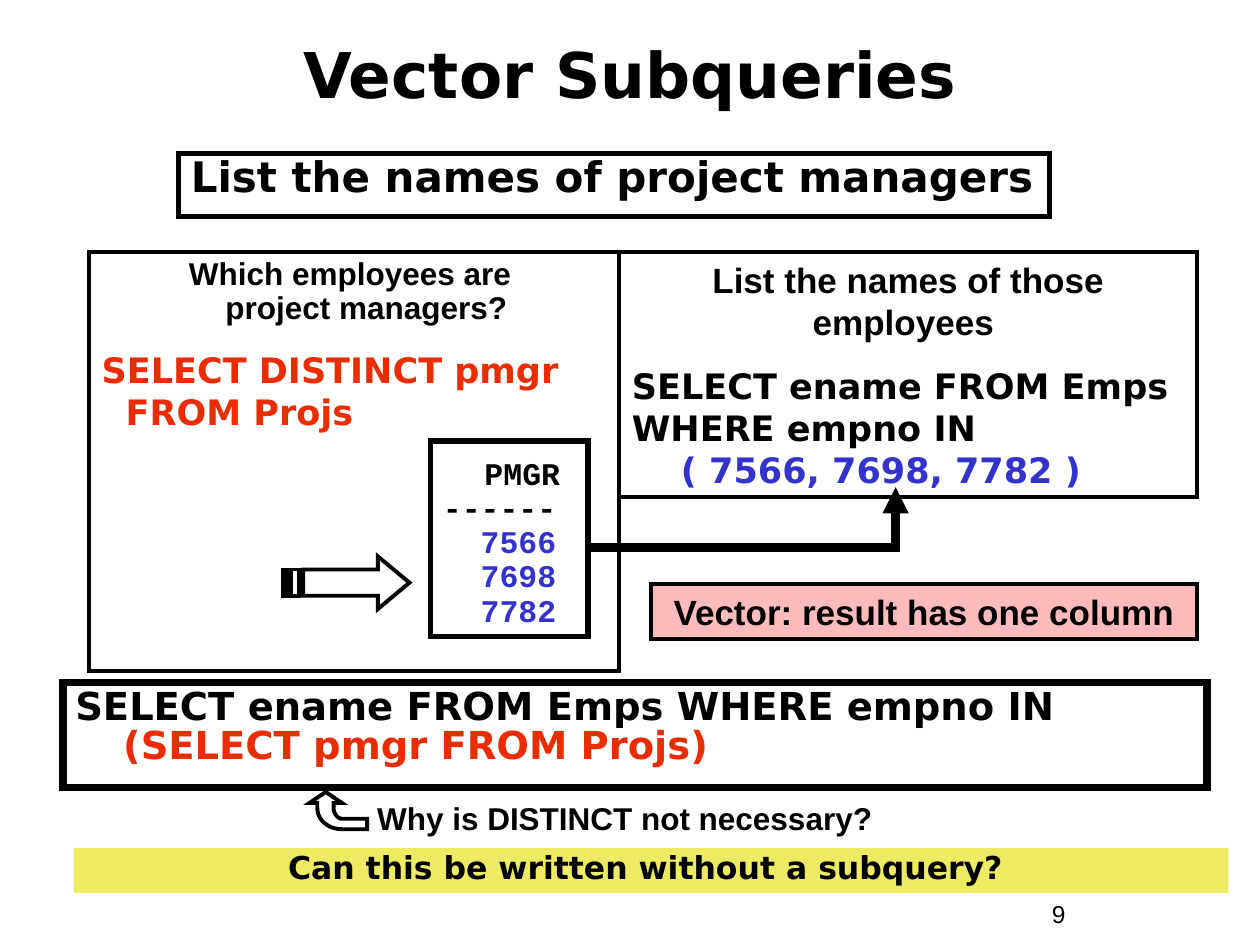
"""Build the Vector Subqueries slide on a grid of 120 columns by 90 rows."""
from lxml import etree
from pptx import Presentation, util as u
from pptx.dml.color import RGBColor
from pptx.enum import shapes, text
from pptx.oxml import ns

THEME = {
    "black": "000000", "red": "EA2D00", "blue": "3333CC",
    "pink": "FFBBBB", "yellow": "EDEA63",
    "sans": "Arial", "wide": "DejaVu Sans", "mono": "Courier New",
    "title": 36, "prompt": 24, "query": 22, "body": 20, "label": 18, "number": 14,
}
CELL = u.Inches(1) // 12
PRECISION = 100
LEFT, CENTER = text.PP_ALIGN.LEFT, text.PP_ALIGN.CENTER


def para(*lines, font="wide", size="body", color="black", bold=True,
         align=LEFT, spacing=1.0, before=0, margin=0, hang=0):
    return {
        "lines": [line if isinstance(line, tuple) else (line, color) for line in lines],
        "font": {"name": THEME[font], "size": u.Pt(THEME[size]), "bold": bold},
        "format": {"alignment": align, "line_spacing": spacing, "space_before": u.Pt(before)},
        "indent": {"marL": margin, "indent": -hang},
    }


RESULT_ROWS = [("PMGR", "black", 0.33), ("------", "black", 0)] + [
    (number, "blue", 0.3) for number in ("7566", "7698", "7782")]

BOXES = [
    {"grid": (99, 85, 11, 4),
     "text": [para("9", font="sans", size="number", bold=False)]},
    {"grid": (4, 2, 112, 10), "middle": True,
     "text": [para("Vector Subqueries", size="title", align=CENTER)]},
    {"grid": (6, 65, 109, 10), "line": 4.5,
     "text": [para("SELECT ename FROM Emps WHERE empno IN",
                   ("(SELECT pmgr FROM Projs)", "red"),
                   size="query", spacing=0.85, margin=0.38, hang=0.38)]},
    {"grid": (17, 14.65, 83, 6), "line": 3,
     "text": [para("List the names of project managers", size="prompt",
                   spacing=0.8, margin=0.38, hang=0.38)]},
    {"grid": (8.5, 24, 50.5, 39.9), "line": 2.25,
     "text": [para("Which employees are ", "project managers?", font="sans", size="label",
                   align=CENTER, spacing=0.9, margin=0.19, hang=0.19),
              para("SELECT DISTINCT pmgr", "FROM Projs", color="red",
                   before=12.5, margin=0.19, hang=0.19)]},
    {"grid": (59, 24, 55, 23.3), "line": 2.25,
     "text": [para("List the names of those employees ", font="sans", align=CENTER),
              para("SELECT ename FROM Emps", "WHERE empno IN", before=12.5),
              para("( 7566, 7698, 7782 )", color="blue", margin=0.39)]},
    {"grid": (41, 42, 15, 18.6), "line": 3, "top": 0.14,
     "text": [para(value, font="mono", size="label", color=color, spacing=0.9, margin=margin)
              for value, color, margin in RESULT_ROWS]},
    {"grid": (62, 55.6, 52, 5.3), "line": 2.25, "fill": "pink", "middle": True,
     "text": [para("Vector: result has one column", font="sans", align=CENTER)]},
    {"grid": (34.5, 75.5, 50, 4.8),
     "text": [para("Why is DISTINCT not necessary?", font="sans", size="label", align=CENTER)]},
    {"grid": (7, 80.75, 110, 4.3), "fill": "yellow",
     "text": [para("Can this be written without a subquery? ", size="label", align=CENTER,
                   spacing=0.85, margin=0.38, hang=0.38)]},
]

RESULT_LINK = {"start": (55.8, 52.15), "end": (85.3, 46.4), "width": 5}
SHAFT_TOP, SHAFT_BOTTOM = 54.25, 56.75
STRIPE_LEFT, STRIPE_UNIT = 27, 0.375
STRIPES = [(0, 1), (2, 4)]
ARROW_HEAD = [(36, SHAFT_TOP), (36, 53), (39, 55.5), (36, 58), (36, SHAFT_BOTTOM)]
BENT_CENTER = (32.25, 77.2)
OUTER_CURVE = [(32.6, 79), (31.3, 79), (30.25, 78.1), (30.25, 77)]
INNER_CURVE = [(31.8, 77), (31.8, 77.5), (32.2, 78), (32.6, 78)]
BENT_HEAD = [(30.25, 76.5), (29.5, 76.5), (31.05, 75.45), (32.6, 76.5), (31.8, 76.5)]


def rgb(color):
    return RGBColor.from_string(THEME[color])


def cells(*values):
    return [round(value * CELL) for value in values]


def apply(target, values):
    for name, value in values.items():
        setattr(target, name, value)


def draw_line(shape, width):
    shape.line.color.rgb = rgb("black")
    shape.line.width = u.Pt(width)
    line = shape._element.spPr.find(ns.qn("a:ln"))
    etree.SubElement(line, ns.qn("a:miter"), lim="800000")
    return line


def style(shape, fill=None, line=None):
    shape.shadow.inherit = False
    if fill:
        shape.fill.solid()
        shape.fill.fore_color.rgb = rgb(fill)
    else:
        shape.fill.background()
    if line:
        draw_line(shape, line)
    else:
        shape.line.fill.background()


def write(frame, paragraphs):
    for index, content in enumerate(paragraphs):
        paragraph = frame.add_paragraph() if index else frame.paragraphs[0]
        apply(paragraph, content["format"])
        properties = paragraph._p.get_or_add_pPr()
        for name, inches in content["indent"].items():
            properties.set(name, str(u.Inches(inches)))
        for position, (line, color) in enumerate(content["lines"]):
            if position:
                paragraph.add_line_break()
            run = paragraph.add_run()
            run.text = line
            apply(run.font, content["font"])
            run.font.color.rgb = rgb(color)


def add_box(slide, box):
    place = cells(*box["grid"])
    if "line" in box or "fill" in box:
        shape = slide.shapes.add_shape(shapes.MSO_SHAPE.RECTANGLE, *place)
        style(shape, box.get("fill"), box.get("line"))
    else:
        shape = slide.shapes.add_textbox(*place)
    anchor = text.MSO_ANCHOR.MIDDLE if box.get("middle") else text.MSO_ANCHOR.TOP
    apply(shape.text_frame, {
        "word_wrap": True, "auto_size": text.MSO_AUTO_SIZE.NONE, "vertical_anchor": anchor,
        "margin_left": u.Inches(0.1), "margin_right": u.Inches(0.1),
        "margin_top": u.Inches(box.get("top", 0.05)), "margin_bottom": u.Inches(0.05)})
    write(shape.text_frame, box["text"])


def add_outline(slide, contours):
    scaled = [[(x * PRECISION, y * PRECISION) for x, y in contour] for contour in contours]
    builder = slide.shapes.build_freeform(*scaled[0][0], scale=CELL / PRECISION)
    for index, contour in enumerate(scaled):
        if index:
            builder.move_to(*contour[0])
        builder.add_line_segments(contour[1:], close=True)
    shape = builder.convert_to_shape()
    style(shape, line=2.25)
    return shape


def curve(points, steps=10):
    weights = [((1 - t) ** 3, 3 * t * (1 - t) ** 2, 3 * t * t * (1 - t), t ** 3)
               for t in (step / steps for step in range(steps + 1))]
    return [tuple(sum(w * point[axis] for w, point in zip(weight, points)) for axis in (0, 1))
            for weight in weights]


def add_striped_arrow(slide):
    def stripe_x(unit):
        return STRIPE_LEFT + unit * STRIPE_UNIT

    arrow = [(stripe_x(5), SHAFT_TOP), *ARROW_HEAD, (stripe_x(5), SHAFT_BOTTOM)]
    stripes = [[(stripe_x(a), SHAFT_TOP), (stripe_x(b), SHAFT_TOP),
                (stripe_x(b), SHAFT_BOTTOM), (stripe_x(a), SHAFT_BOTTOM)] for a, b in STRIPES]
    add_outline(slide, [arrow, *stripes])


def add_bent_arrow(slide):
    center_x, center_y = BENT_CENTER
    outline = [(35, 79), *curve(OUTER_CURVE), *BENT_HEAD, *curve(INNER_CURVE), (35, 78)]
    turned = [(center_x - (y - center_y), center_y + (x - center_x)) for x, y in outline]
    add_outline(slide, [turned]).rotation = 270


def add_result_link(slide):
    connector = slide.shapes.add_connector(
        shapes.MSO_CONNECTOR.ELBOW, *cells(*RESULT_LINK["start"], *RESULT_LINK["end"]))
    line = draw_line(connector, RESULT_LINK["width"])
    etree.SubElement(line, ns.qn("a:tailEnd"), type="triangle")
    properties = connector._element.spPr
    properties.find(ns.qn("a:prstGeom")).set("prst", "bentConnector2")
    etree.SubElement(properties, ns.qn("a:effectLst"))


def main():
    presentation = Presentation()
    apply(presentation, {"slide_width": 120 * CELL, "slide_height": 90 * CELL})
    slide = presentation.slides.add_slide(presentation.slide_layouts[6])
    for box in BOXES:
        add_box(slide, box)
    add_result_link(slide)
    add_striped_arrow(slide)
    add_bent_arrow(slide)
    presentation.save("out.pptx")


if __name__ == "__main__":
    main()
